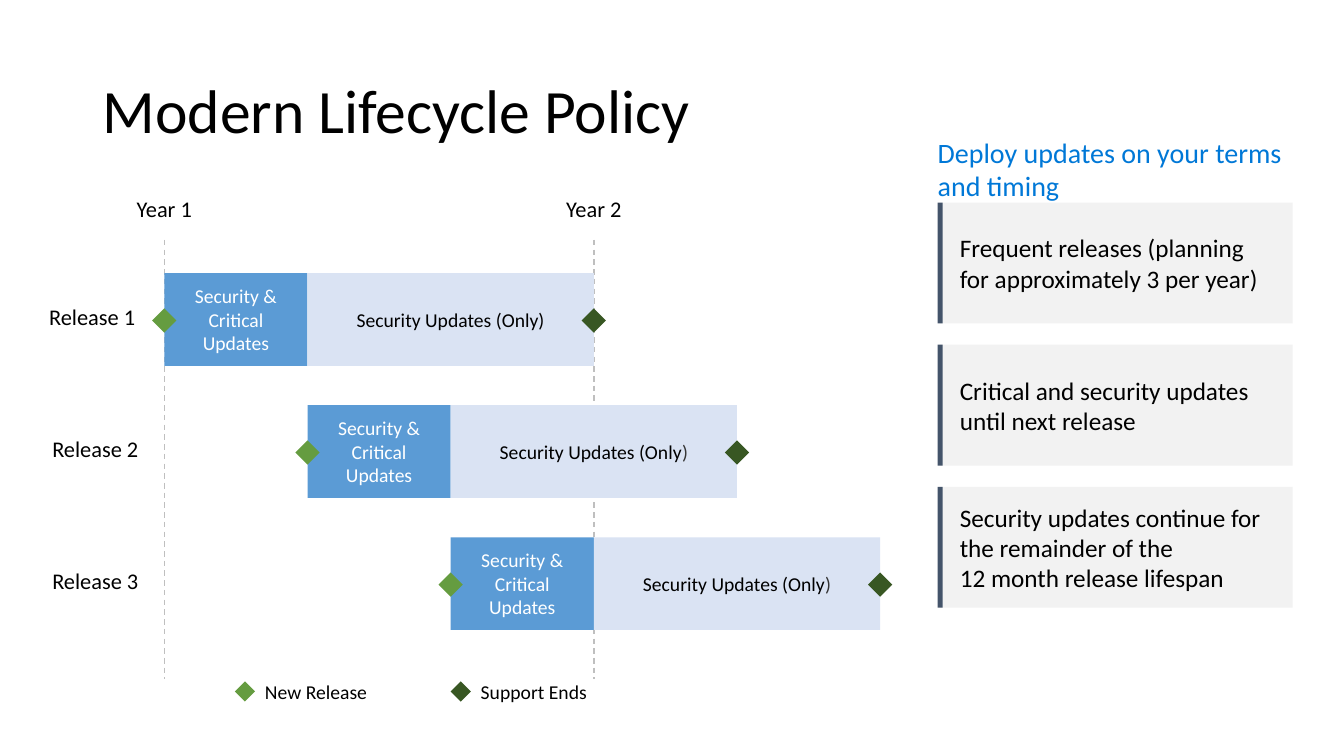
from lxml import etree
from pptx import Presentation, util as u
from pptx.dml.color import RGBColor
from pptx.enum import dml, shapes, text
from pptx.oxml import ns

BLACK, WHITE = "000000", "FFFFFF"
RELEASE_GREEN, END_GREEN = "659C40", "385723"
CENTER, LEFT = text.PP_ALIGN.CENTER, text.PP_ALIGN.LEFT
MIDDLE, TOP = text.MSO_ANCHOR.MIDDLE, text.MSO_ANCHOR.TOP
RECTANGLE, DIAMOND = shapes.MSO_SHAPE.RECTANGLE, shapes.MSO_SHAPE.DIAMOND


def color(code):
    return RGBColor.from_string(code)


class SlideBuilder:
    font = "Calibri"

    def __init__(self, slide):
        self.slide = slide
        self.target = slide.shapes

    def start_group(self):
        self.target = self.slide.shapes.add_group_shape().shapes

    def end_group(self):
        self.target = self.slide.shapes

    def add_words(self, shape, runs, size, align=LEFT, anchor=TOP, margins=(0.1, 0.05), wrap=True):
        frame = shape.text_frame
        frame.word_wrap = wrap
        frame.vertical_anchor = anchor
        frame.margin_left = frame.margin_right = u.Inches(margins[0])
        frame.margin_top = frame.margin_bottom = u.Inches(margins[1])
        paragraph = frame.paragraphs[0]
        paragraph.alignment = align
        for words, code in runs:
            for number, line in enumerate(words.split("\n")):
                if number:
                    paragraph.add_line_break()
                run = paragraph.add_run()
                run.text = line
                run.font.name = self.font
                run.font.size = u.Pt(size)
                run.font.color.rgb = color(code)
        return paragraph

    def label(self, box, words, size, code=BLACK, grow=False, **style):
        textbox = self.target.add_textbox(*map(u.Inches, box))
        paragraph = self.add_words(textbox, [(words, code)], size, **style)
        if grow:
            textbox.text_frame.auto_size = text.MSO_AUTO_SIZE.SHAPE_TO_FIT_TEXT
        return paragraph

    def block(self, box, fill, kind=RECTANGLE):
        shape = self.target.add_shape(kind, *map(u.Inches, box))
        shape.shadow.inherit = False
        shape.fill.solid()
        shape.fill.fore_color.rgb = color(fill)
        shape.line.fill.background()
        return shape

    def marker(self, x, y, fill, size):
        self.block((x - size / 2, y - size / 2, size, size), fill, DIAMOND)

    def year_line(self, x, top, bottom):
        line = self.target.add_connector(
            shapes.MSO_CONNECTOR.STRAIGHT, *map(u.Inches, (x, top, x, bottom)))
        line.line.color.rgb = color("BFBFBF")
        line.line.width = u.Pt(1)
        line.line.dash_style = dml.MSO_LINE.DASH
        etree.SubElement(line._element.spPr, ns.qn("a:effectLst"))


def add_years(builder, year_start, year_length):
    for year in range(2):
        x = year_start + year * year_length
        builder.year_line(x, 2.38, 6.74)
        builder.label((x - 0.4, 1.89, 0.8, 0.37), f"Year {year + 1}", 16,
                      grow=True, align=CENTER, wrap=False)


def add_releases(builder, year_start, phase):
    first_top, row_step, height = 2.71, 1.31, 0.92
    label_boxes = [(0.38, 1.07), (0.39, 1.11), (0.39, 1.11)]
    for row, (label_left, label_width) in enumerate(label_boxes):
        start = year_start + row * phase
        top = first_top + row * row_step
        bracket = BLACK if row == 0 else "353535"
        builder.start_group()
        full_support = builder.block((start, top, phase, height), "5B9BD5")
        builder.add_words(full_support, [("Security & Critical Updates", WHITE)],
                          14, CENTER, MIDDLE)
        security_only = builder.block((start + phase, top, 2 * phase, height), "DAE3F3")
        builder.add_words(security_only, [("Security Updates (Only", BLACK), (")", bracket)],
                          14, CENTER, MIDDLE)
        for x, fill in ((start, RELEASE_GREEN), (start + 3 * phase, END_GREEN)):
            builder.marker(x, top + height / 2 + 0.01, fill, 0.24)
        builder.end_group()
        builder.label((label_left, top + 0.25, label_width, 0.37), f"Release {row + 1}", 16,
                      grow=True, align=CENTER, wrap=False)


def add_legend(builder):
    for x, words, fill in ((2.43, "New Release", RELEASE_GREEN), (4.57, "Support Ends", END_GREEN)):
        builder.start_group()
        builder.marker(x, 6.86, fill, 0.2)
        builder.label((x + 0.1, 6.67, 1.66, 0.38), words, 14, anchor=MIDDLE)
        builder.end_group()


def add_benefits(builder):
    benefits = [
        "Frequent releases (planning for approximately 3 per year)",
        "Critical and security updates until next release",
        "Security updates continue for the remainder of the\n12 month release lifespan",
    ]
    builder.start_group()
    heading = builder.label((9.3, 1.34, 3.53, 0.67), "Deploy updates on your terms and timing",
                            20, "0078D7", grow=True, margins=(0, 0))
    heading.space_after = u.Pt(6)
    for row, benefit in enumerate(benefits):
        top = 2.01 + row * 1.41
        card = builder.block((9.32, top, 3.5, 1.2), "F2F2F2")
        builder.add_words(card, [(benefit, BLACK)], 18, anchor=MIDDLE, margins=(0.2, 0.05))
        builder.block((9.3, top, 0.05, 1.2), "44546A")
    builder.end_group()


def main():
    deck = Presentation()
    deck.slide_width, deck.slide_height = u.Inches(13.33), u.Inches(7.5)
    builder = SlideBuilder(deck.slides.add_slide(deck.slide_layouts[6]))
    year_start, phase = 1.63, 1.42
    title = builder.label((0.92, 0.4, 11.5, 1.45), "Modern Lifecycle Policy", 44, anchor=MIDDLE)
    title.line_spacing = 0.9
    add_years(builder, year_start, 3 * phase)
    add_releases(builder, year_start, phase)
    add_legend(builder)
    add_benefits(builder)
    deck.save("out.pptx")


if __name__ == "__main__":
    main()
